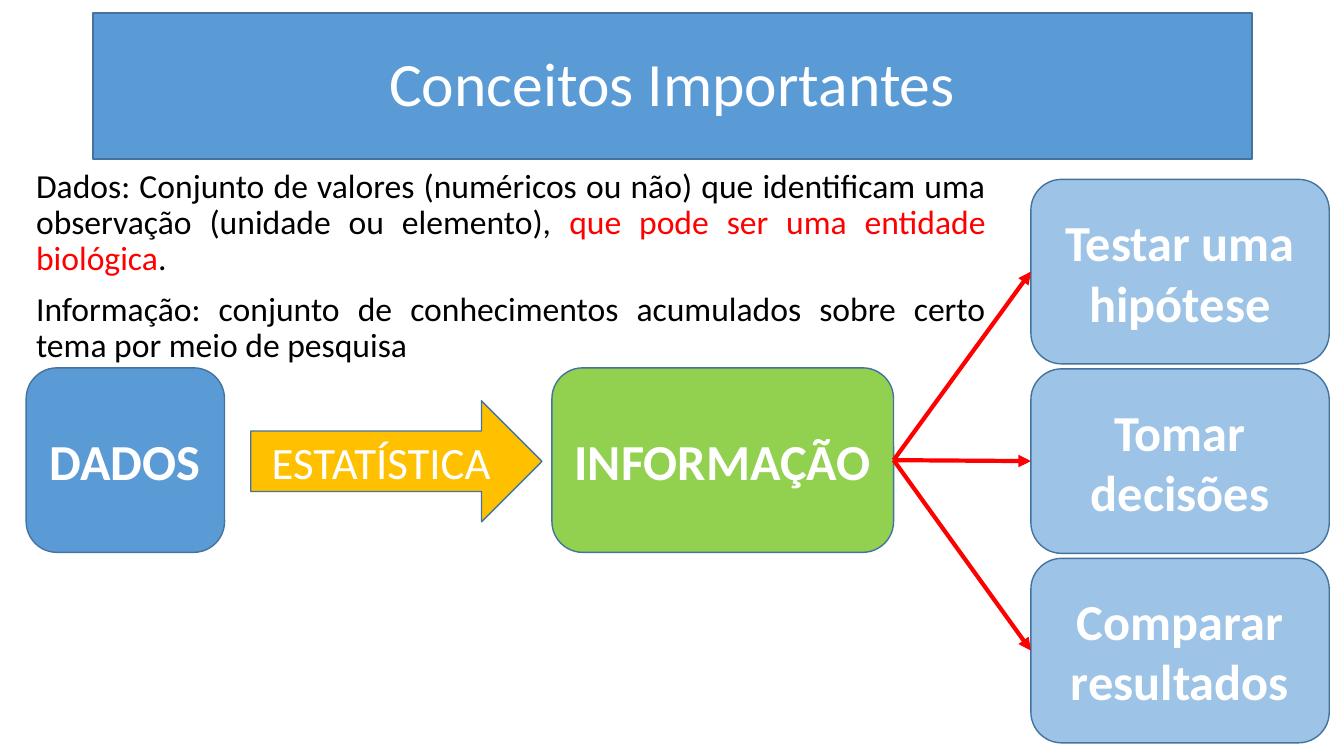
from lxml.etree import SubElement
from pptx import Presentation
from pptx.dml.color import RGBColor
from pptx.enum.shapes import MSO_CONNECTOR, MSO_SHAPE
from pptx.enum.text import MSO_ANCHOR, PP_ALIGN
from pptx.oxml.ns import qn
from pptx.util import Cm, Pt

COLORS = {
    "blue": "5B9BD5", "light blue": "9DC3E6", "outline": "43739E",
    "green": "92D050", "gold": "FFC000", "red": "FF0000",
    "white": "FFFFFF", "black": "000000",
}
FONT = "Calibri"
DEFINITIONS = [
    [("Dados: Conjunto de valores (numéricos ou não) que identificam uma "
      "observação (unidade ou elemento), ", "black"),
     ("que pode ser uma entidade biológica", "red"),
     (".", "black")],
    [("Informação: conjunto de conhecimentos acumulados sobre certo tema "
      "por meio de pesquisa", "black")],
]
GOALS = ["Testar uma hipótese", "Tomar decisões", "Comparar resultados"]


def color(name):
    return RGBColor.from_string(COLORS[name])


def add_block(page, kind, box, fill, text, size, bold=False):
    """Add a filled shape with centred white text; box is in centimetres."""
    block = page.shapes.add_shape(kind, *map(Cm, box))
    block.shadow.inherit = False
    block.fill.solid()
    block.fill.fore_color.rgb = color(fill)
    block.line.color.rgb = color("outline")
    block.line.width = Pt(1)
    frame = block.text_frame
    frame.word_wrap = True
    frame.vertical_anchor = MSO_ANCHOR.MIDDLE
    para = frame.paragraphs[0]
    para.text = text
    para.alignment = PP_ALIGN.CENTER
    para.font.name = FONT
    para.font.size = Pt(size)
    para.font.bold = bold
    para.font.color.rgb = color("white")
    return block


def add_arrow(page, source, target):
    """Link the right side of source to the left side of target."""
    arrow = page.shapes.add_connector(MSO_CONNECTOR.STRAIGHT, 0, 0, 0, 0)
    arrow.begin_connect(source, 3)
    arrow.end_connect(target, 1)
    arrow.line.color.rgb = color("red")
    arrow.line.width = Pt(3)
    SubElement(arrow.line._get_or_add_ln(), qn("a:tailEnd"), type="triangle")
    SubElement(arrow._element.spPr, qn("a:effectLst"))


def add_title(page, box):
    title = add_block(page, MSO_SHAPE.RECTANGLE, box, "blue", "Conceitos Importantes", 44)
    title.text_frame.paragraphs[0].line_spacing = 0.9


def add_definitions(page, box):
    frame = page.shapes.add_textbox(*map(Cm, box)).text_frame
    frame.word_wrap = True
    for index, pieces in enumerate(DEFINITIONS):
        para = frame.add_paragraph() if index else frame.paragraphs[0]
        para.alignment = PP_ALIGN.JUSTIFY
        para.line_spacing = 0.9
        para.space_before = Pt(10 if index else 0)
        para.font.name = FONT
        para.font.size = Pt(24)
        for text, tint in pieces:
            span = para.add_run()
            span.text = text
            span.font.color.rgb = color(tint)


def add_flow(page, box):
    """Data, statistics and information in a row; returns the last block."""
    left, top, width, height = box
    info_width, arrow_height = 8.61, 3.05
    rounded = MSO_SHAPE.ROUNDED_RECTANGLE
    add_block(page, rounded, (left, top, 5, height), "blue", "DADOS", 36, True)
    info = add_block(page, rounded, (left + width - info_width, top, info_width, height),
                     "green", "INFORMAÇÃO", 36, True)
    add_block(page, MSO_SHAPE.RIGHT_ARROW,
              (left + 5.66, top + (height - arrow_height) / 2 + 0.03, 7.34, arrow_height),
              "gold", "ESTATÍSTICA", 32)
    return info


def add_goals(page, box, source):
    """Stack the goals evenly in the box and point to each from source."""
    left, top, width, height = box
    goal_height = 4.65
    step = (height - goal_height) / (len(GOALS) - 1)
    goals = [add_block(page, MSO_SHAPE.ROUNDED_RECTANGLE,
                       (left, top + index * step, width, goal_height),
                       "light blue", text, 36, True)
             for index, text in enumerate(GOALS)]
    for goal in goals:
        add_arrow(page, source, goal)


def main():
    deck = Presentation()
    deck.slide_width, deck.slide_height = Cm(33.87), Cm(19.05)
    page = deck.slides.add_slide(deck.slide_layouts[6])
    add_title(page, (2.34, 0.33, 29.21, 3.68))
    add_definitions(page, (0.66, 4.14, 24.43, 3.48))
    info = add_flow(page, (0.66, 9.27, 21.86, 4.65))
    add_goals(page, (25.98, 4.52, 7.52, 14.2), info)
    deck.save("out.pptx")


if __name__ == "__main__":
    main()
